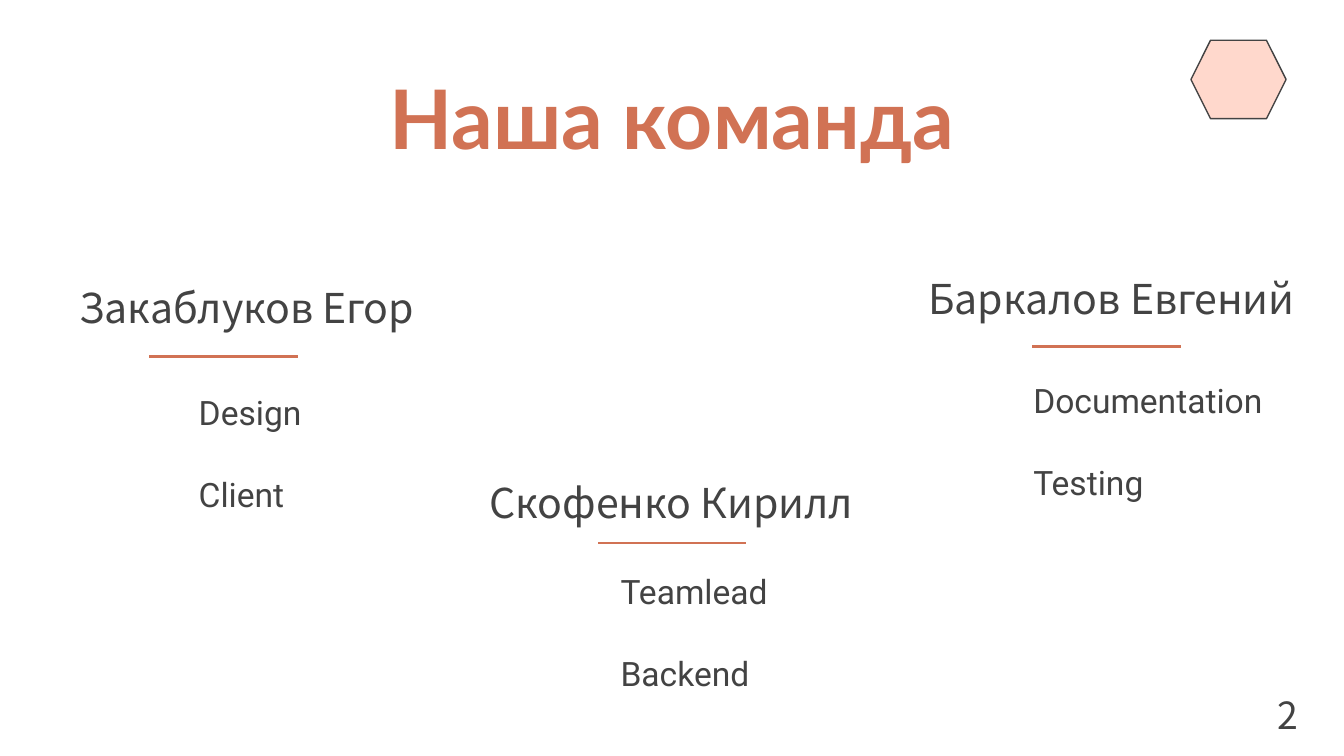
"""Build the team slide: title, three members with their roles, page number."""
from pptx import Presentation, util as u
from pptx.dml.color import RGBColor
from pptx.enum import shapes, text
from pptx.oxml.ns import qn
from lxml import etree

TITLE = "Наша команда"
PAGE = "2"
TEAM = [
    {"name": "Закаблуков Егор", "roles": ["Design", "Client"],
     "head": (20.2, 149, 224), "rule": (80, 190.8, 1.5), "list": (99.4, 203)},
    {"name": "Баркалов Евгений", "roles": ["Documentation", "Testing"],
     "head": (481.7, 144, 227.5), "rule": (553, 185.8, 1.5), "list": (546.5, 196.6)},
    {"name": "Скофенко Кирилл", "roles": ["Teamlead", "Backend"],
     "head": (252, 253.4, 215.3), "rule": (320.4, 290.9, 1.5), "list": (325.4, 298.8)},
]
COLORS = {"accent": "D17254", "ink": "434343", "blush": "FFD8CC", "paper": "FFFFFF"}
FONTS = {
    "title": {"name": "Lato", "size": u.Pt(44), "bold": True},
    "head": {"name": "Noto Sans CJK KR", "size": u.Pt(22)},
    "role": {"name": "Roboto", "size": u.Pt(18)},
    "page": {"name": "Noto Sans CJK KR", "size": u.Pt(20)},
}
PAD = 7.2
RULE = 79.5


def tint(key):
    return RGBColor.from_string(COLORS[key])


def write(slide, lines, at, style, color="ink", align=text.PP_ALIGN.LEFT,
          anchor=text.MSO_ANCHOR.TOP, pad=PAD, gap=0):
    frame = slide.shapes.add_textbox(*map(u.Pt, at)).text_frame
    form = {"word_wrap": True, "vertical_anchor": anchor,
            "margin_top": u.Pt(pad), "margin_bottom": u.Pt(pad)}
    for key, val in form.items():
        setattr(frame, key, val)
    for i, line in enumerate(lines):
        para = frame.add_paragraph() if i else frame.paragraphs[0]
        para.alignment = align
        if i:
            para.space_before = u.Pt(gap)
        run = para.add_run()
        run.text = line
        for key, val in FONTS[style].items():
            setattr(run.font, key, val)
        run.font.color.rgb = tint(color)


def underline(slide, left, top, width):
    line = slide.shapes.add_connector(
        shapes.MSO_CONNECTOR.STRAIGHT, *map(u.Pt, (left, top, left + RULE, top)))
    line.line.color.rgb = tint("accent")
    line.line.width = u.Pt(width)
    etree.SubElement(line._element.spPr, qn("a:effectLst"))


def main():
    deck = Presentation()
    deck.slide_width, deck.slide_height = u.Pt(720), u.Pt(405)
    slide = deck.slides.add_slide(deck.slide_layouts[6])
    slide.background.fill.solid()
    slide.background.fill.fore_color.rgb = tint("paper")

    badge = slide.shapes.add_shape(
        shapes.MSO_SHAPE.HEXAGON, *map(u.Pt, (638, 21.6, 51, 42)))
    badge.shadow.inherit = False
    badge.fill.solid()
    badge.fill.fore_color.rgb = tint("blush")
    badge.line.color.rgb = tint("ink")
    badge.line.width = u.Pt(0.75)

    mid = text.PP_ALIGN.CENTER
    write(slide, [TITLE], (0, 28.8, 720, 50.4), "title", "accent", mid)
    for mate in TEAM:
        write(slide, [mate["name"]], (*mate["head"], 36), "head",
              align=mid, anchor=text.MSO_ANCHOR.BOTTOM)
        underline(slide, *mate["rule"])
        write(slide, mate["roles"], (*mate["list"], 182.2, 43.2), "role", gap=22)
    write(slide, [PAGE], (677.5, 367.2, 29.5, 31.7), "page", pad=3.6)
    deck.save("out.pptx")


if __name__ == "__main__":
    main()
